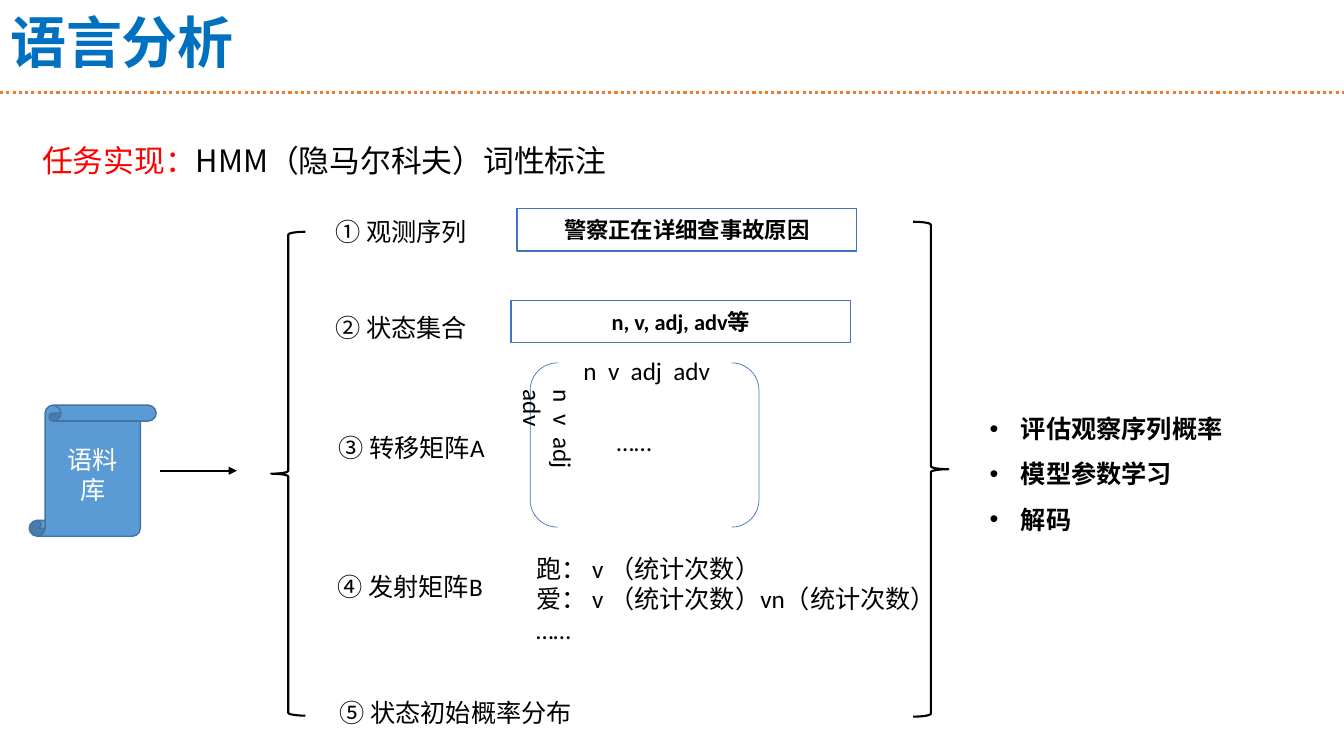
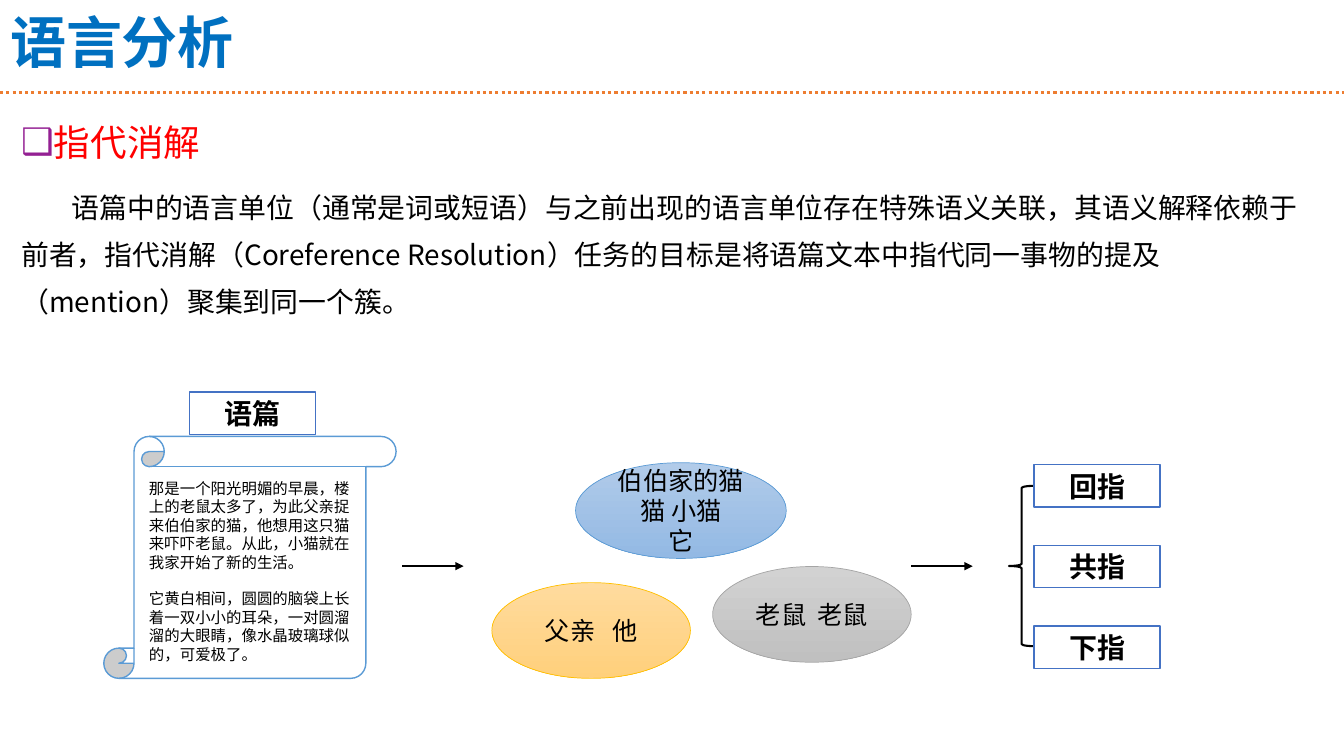
from dataclasses import dataclass

from pptx import Presentation
from pptx.dml.color import RGBColor
from pptx.enum.dml import MSO_LINE
from pptx.enum.shapes import MSO_CONNECTOR, MSO_SHAPE as SHAPE
from pptx.enum.text import MSO_ANCHOR as ANCHOR, MSO_AUTO_SIZE, PP_ALIGN as ALIGN
from pptx.oxml.ns import qn
from pptx.util import Inches, Pt
from lxml.etree import SubElement

# Grid: square cells, 40 columns by 22.5 rows
COLS, ROWS = 40, 22.5
CELL = Inches(40 / 3) / COLS
RULE_ROW = 2.76

BLACK = RGBColor(0x00, 0x00, 0x00)
WHITE = RGBColor(0xFF, 0xFF, 0xFF)
RED = RGBColor(0xFF, 0x00, 0x00)
TITLE_BLUE = RGBColor(0x00, 0x70, 0xC0)
ORANGE = RGBColor(0xED, 0x7D, 0x31)
BOX_BLUE = RGBColor(0x44, 0x72, 0xC4)
SCROLL_BLUE = RGBColor(0x5B, 0x9B, 0xD5)
SCROLL_EDGE = RGBColor(0x43, 0x73, 0x9E)
BLUE_TINT = [RGBColor(0xB1, 0xCB, 0xE9), RGBColor(0x93, 0xB9, 0xE4)]
GOLD = RGBColor(0xFF, 0xC0, 0x00)
GOLD_TINT = [RGBColor(0xFF, 0xDB, 0x9E), RGBColor(0xFF, 0xD0, 0x7C)]
GREY = RGBColor(0xA5, 0xA5, 0xA5)
GREY_TINT = [RGBColor(0xD2, 0xD2, 0xD2), RGBColor(0xC0, 0xC0, 0xC0)]

LATIN, HAN = "Calibri", "Noto Sans CJK SC"
HEADING = {"name": HAN, "size": Pt(40), "bold": True}
LEAD = {"name": HAN, "size": Pt(22)}
BODY = {"name": LATIN, "size": Pt(18)}
BODY_BOLD = {**BODY, "bold": True}
BOX_TEXT = {"name": LATIN, "size": Pt(16), "bold": True}
TAG_TEXT = {"name": LATIN, "size": Pt(20), "bold": True}
SMALL = {"name": LATIN, "size": Pt(11)}


@dataclass
class Box:
    """A rectangle in grid cells."""
    x: float
    y: float
    w: float
    h: float

    def inside(self, dx, dy, w, h):
        return Box(self.x + dx, self.y + dy, w, h)

    def emu(self):
        return [round(v * CELL) for v in (self.x, self.y, self.w, self.h)]


# Text
def add_run(p, text, font, color, spread=None):
    r = p.add_run()
    r.text = text
    for name, value in font.items():
        setattr(r.font, name, value)
    r.font.color.rgb = color
    rPr = r._r.get_or_add_rPr()
    rPr.set("lang", "zh-CN")
    if spread:
        rPr.set("spc", str(spread * 100))
    if font["name"] == HAN:
        SubElement(rPr, qn("a:ea")).set("typeface", HAN)


def write_paragraph(p, text, font, color=BLACK, gap=None, **fmt):
    """gap widens each space between words by that many points."""
    for name, value in fmt.items():
        setattr(p, name, value)
    if not gap:
        add_run(p, text, font, color)
        return
    for i, word in enumerate(text.split(" ")):
        if i:
            add_run(p, " ", font, color, gap)
        add_run(p, word, font, color)


def write(tf, lines, font, color=BLACK, anchor=ANCHOR.TOP, **fmt):
    tf.word_wrap = True
    tf.vertical_anchor = anchor
    for i, line in enumerate(lines):
        p = tf.add_paragraph() if i else tf.paragraphs[0]
        write_paragraph(p, line, font, color, **fmt)


def indent(p, margin, first, bullet=None, bullet_color=None):
    pPr = p._p.get_or_add_pPr()
    pPr.set("marL", str(Inches(margin)))
    pPr.set("indent", str(Inches(first)))
    if bullet_color:
        SubElement(SubElement(pPr, qn("a:buClr")), qn("a:srgbClr")).set("val", bullet_color)
    if bullet:
        SubElement(pPr, qn("a:buFont")).set("typeface", "Arial")
        SubElement(pPr, qn("a:buChar")).set("char", bullet)


def add_text(s, box, lines, font=BODY, **fmt):
    tf = s.shapes.add_textbox(*box.emu()).text_frame
    write(tf, lines, font, **fmt)
    return tf


# Shapes and lines
def add_shape(s, kind, box, line, width=1, fill=None, lines=(), font=BODY, color=BLACK, **fmt):
    """fill is one colour, a list of two gradient colours, or None."""
    sp = s.shapes.add_shape(kind, *box.emu())
    sp.shadow.inherit = False
    sp.line.color.rgb, sp.line.width = line, Pt(width)
    if fill is None:
        sp.fill.background()
    elif isinstance(fill, list):
        sp.fill.gradient()
        sp.fill.gradient_angle = 270
        for stop, tint in zip(sp.fill.gradient_stops, fill):
            stop.color.rgb = tint
    else:
        sp.fill.solid()
        sp.fill.fore_color.rgb = fill
    write(sp.text_frame, lines, font, color, ANCHOR.MIDDLE, alignment=ALIGN.CENTER, **fmt)


def add_tag(s, box, text, font=TAG_TEXT):
    add_shape(s, SHAPE.RECTANGLE, box, BOX_BLUE, fill=WHITE, lines=[text], font=font)


def add_brace(s, kind, box):
    add_shape(s, kind, box, BLACK, 1.5)


def add_line(s, x, y, length, color=BLACK, width=1.5):
    ends = [round(v * CELL) for v in (x, y, x + length, y)]
    line = s.shapes.add_connector(MSO_CONNECTOR.STRAIGHT, *ends)
    line.line.color.rgb, line.line.width = color, Pt(width)
    SubElement(line._element.spPr, qn("a:effectLst"))
    return line


def add_arrow(s, x, y, length):
    ln = add_line(s, x, y, length)._element.spPr.find(qn("a:ln"))
    SubElement(ln, qn("a:tailEnd")).set("type", "triangle")


# Shared page: title over a dotted rule
def add_page(prs, title):
    s = prs.slides.add_slide(prs.slide_layouts[5])
    rule = add_line(s, 0, RULE_ROW, COLS, ORANGE, 2.25)
    rule.line.dash_style = MSO_LINE.ROUND_DOT
    head = s.shapes.title
    head.left, head.top, head.width, head.height = Box(0, -0.03, COLS, RULE_ROW).emu()
    head.text_frame.auto_size = MSO_AUTO_SIZE.NONE
    write(head.text_frame, [title], HEADING, TITLE_BLUE, ANCHOR.MIDDLE,
          alignment=ALIGN.LEFT, line_spacing=0.9)
    return s


# Regions of the tagging slide
def add_task(s, box):
    tf = add_text(s, box, ["任务实现："], LEAD, color=RED, line_spacing=1.2)
    add_run(tf.paragraphs[0], "HMM（隐马尔科夫）词性标注", LEAD, BLACK)


def add_corpus(s, box):
    add_shape(s, SHAPE.VERTICAL_SCROLL, box, SCROLL_EDGE, fill=SCROLL_BLUE,
              lines=["语料库"], color=WHITE)
    add_arrow(s, box.x + box.w + 0.12, box.y + box.h / 2, 2.28)


def add_matrix(s, box):
    states = ["n v adj adv"]
    add_shape(s, SHAPE.DOUBLE_BRACKET, box, BOX_BLUE, 0.5)
    add_text(s, box.inside(1.29, -0.36, 4.68, 1.2), states, gap=4)
    rows = add_text(s, box.inside(0.09, 0.51, 1.5, 4.2), states, gap=4)
    rows._txBody.find(qn("a:bodyPr")).set("vert", "eaVert")
    add_text(s, box.inside(2.28, 1.74, 2.28, 1.2), ["……"])


def add_model(s, box):
    add_brace(s, SHAPE.LEFT_BRACE, box.inside(0, 0.7, 1.02, 14.4))
    add_brace(s, SHAPE.RIGHT_BRACE, box.inside(box.w - 1.05, 0.4, 1.05, 14.73))
    labels = [(1.62, 0.1, "① 观测序列"), (1.62, 2.95, "② 状态集合"),
              (1.71, 6.52, "③ 转移矩阵A"), (1.68, 10.66, "④ 发射矩阵B"),
              (1.74, 14.41, "⑤ 状态初始概率分布")]
    for x, y, label in labels:
        add_text(s, box.inside(x, y, 8.13 if len(label) > 8 else 5.37, 1.2), [label])
    add_tag(s, box.inside(7.32, 0.01, 10.11, 1.26), "警察正在详细查事故原因", BOX_TEXT)
    add_tag(s, box.inside(7.14, 2.74, 10.11, 1.26), "n, v, adj, adv等", BOX_TEXT)
    add_matrix(s, box.inside(7.71, 4.6, 6.81, 4.89))
    add_text(s, box.inside(7.59, 10.12, 12.6, 3.03),
             ["跑： v （统计次数）", "爱： v （统计次数）vn（统计次数）", "……"])


def add_outcomes(s, box):
    tf = add_text(s, box, ["评估观察序列概率", "模型参数学习", "解码"], BODY_BOLD,
                  line_spacing=1.5)
    for p in tf.paragraphs:
        indent(p, 0.31, -0.31, "•")


# Regions of the coreference slide
def add_definition(s, box):
    tf = add_text(s, box, ["指代消解"], {"name": HAN, "size": Pt(26.1)}, color=RED)
    tf.margin_left = Inches(0.08)
    indent(tf.paragraphs[0], 0.25, -0.25, "❑", "942093")
    p = tf.add_paragraph()
    write_paragraph(
        p, "语篇中的语言单位（通常是词或短语）与之前出现的语言单位存在特殊语义关联，"
        "其语义解释依赖于前者，指代消解（Coreference Resolution）任务的目标是将语篇文本中"
        "指代同一事物的提及（mention）聚集到同一个簇。",
        {"name": HAN, "size": Pt(19.9)}, line_spacing=1.4, space_before=Pt(10))
    indent(p, 0, 0.5)


def add_passage(s, box):
    add_shape(s, SHAPE.VERTICAL_SCROLL, box.inside(0, 1.32, box.w, box.h - 1.32),
              SCROLL_BLUE, fill=WHITE)
    tf = add_text(s, box.inside(1.05, 2.43, 6.78, 5.85), [
        "那是一个阳光明媚的早晨，楼上的老鼠太多了，为此父亲捉来伯伯家的猫，"
        "他想用这只猫来吓吓老鼠。从此，小猫就在我家开始了新的生活。",
        "它黄白相间，圆圆的脑袋上长着一双小小的耳朵，一对圆溜溜的大眼睛，"
        "像水晶玻璃球似的，可爱极了。"], SMALL)
    tf.paragraphs[1].space_before = Pt(13)
    add_tag(s, box.inside(2.55, 0, 3.75, 1.26), "语篇")


def add_clusters(s, box):
    clusters = [(2.49, 0, 6.27, SCROLL_BLUE, BLUE_TINT, ["伯伯家的猫", "猫 小猫", "它"], None),
                (0, 3.57, 5.91, GOLD, GOLD_TINT, ["父亲 他"], 8),
                (6.57, 3.09, 5.91, GREY, GREY_TINT, ["老鼠 老鼠"], 4)]
    for x, y, w, line, tint, lines, gap in clusters:
        add_shape(s, SHAPE.OVAL, box.inside(x, y, w, 2.85), line, 0.5, tint, lines, gap=gap)


def add_relations(s, box):
    add_brace(s, SHAPE.LEFT_BRACE, box.inside(0, 0.63, 0.75, 4.77))
    for i, relation in enumerate(["回指", "共指", "下指"]):
        add_tag(s, box.inside(0.75, 2.4 * i, 3.75, 1.26), relation)


def build_tagging(prs):
    s = add_page(prs, "语言分析")
    add_task(s, Box(0.96, 3.84, 37.2, 1.53))
    add_corpus(s, Box(0.87, 12.06, 3.78, 3.9))
    add_model(s, Box(8.07, 6.2, 20.16, 15.13))
    add_outcomes(s, Box(29.16, 11.7, 8.19, 4.26))


def build_coreference(prs):
    s = add_page(prs, "语言分析")
    add_definition(s, Box(0.39, 3.42, 39.27, 6.06))
    add_passage(s, Box(3.09, 11.67, 8.7, 8.52))
    add_clusters(s, Box(14.64, 13.77, 12.48, 6.45))
    add_relations(s, Box(30.03, 13.83, 4.5, 6.06))
    for x in (11.97, 27.12):
        add_arrow(s, x, 16.85, 1.83)


def main():
    prs = Presentation()
    prs.slide_width, prs.slide_height = round(COLS * CELL), round(ROWS * CELL)
    build_tagging(prs)
    build_coreference(prs)
    prs.save("out.pptx")


if __name__ == "__main__":
    main()
